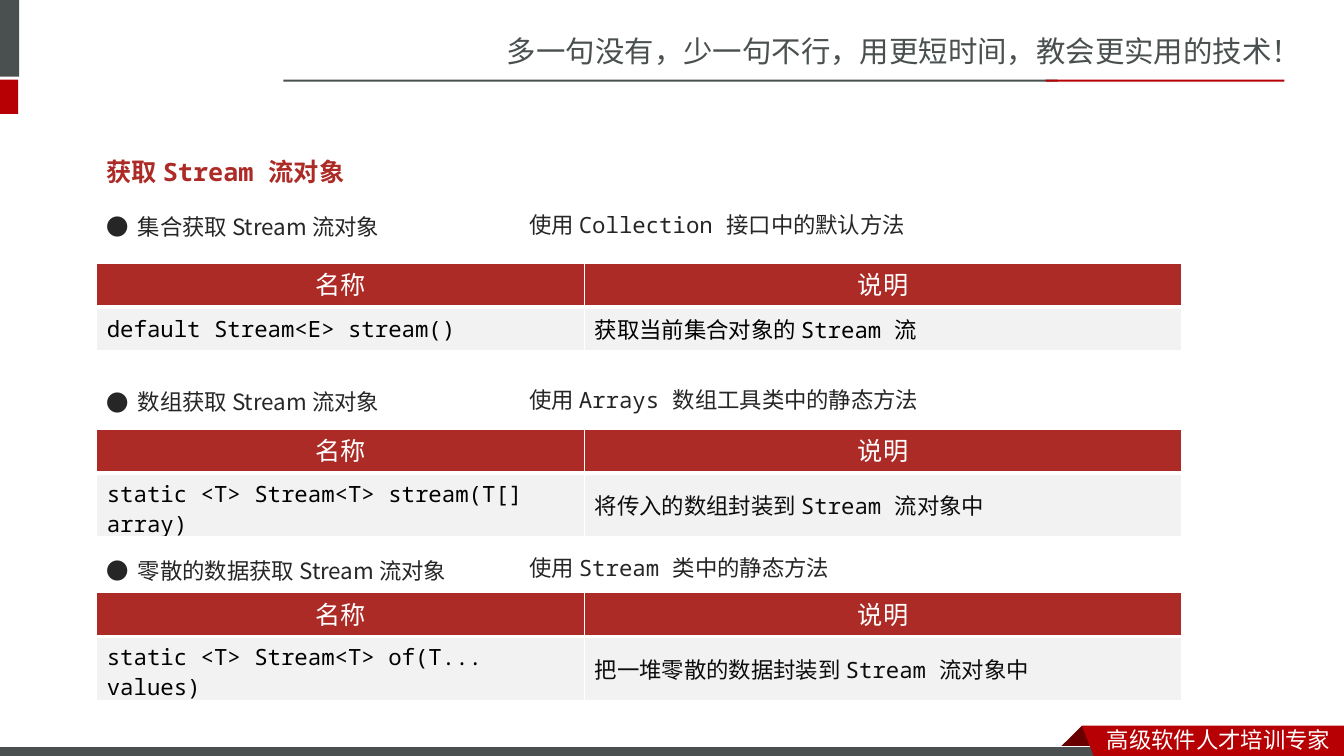
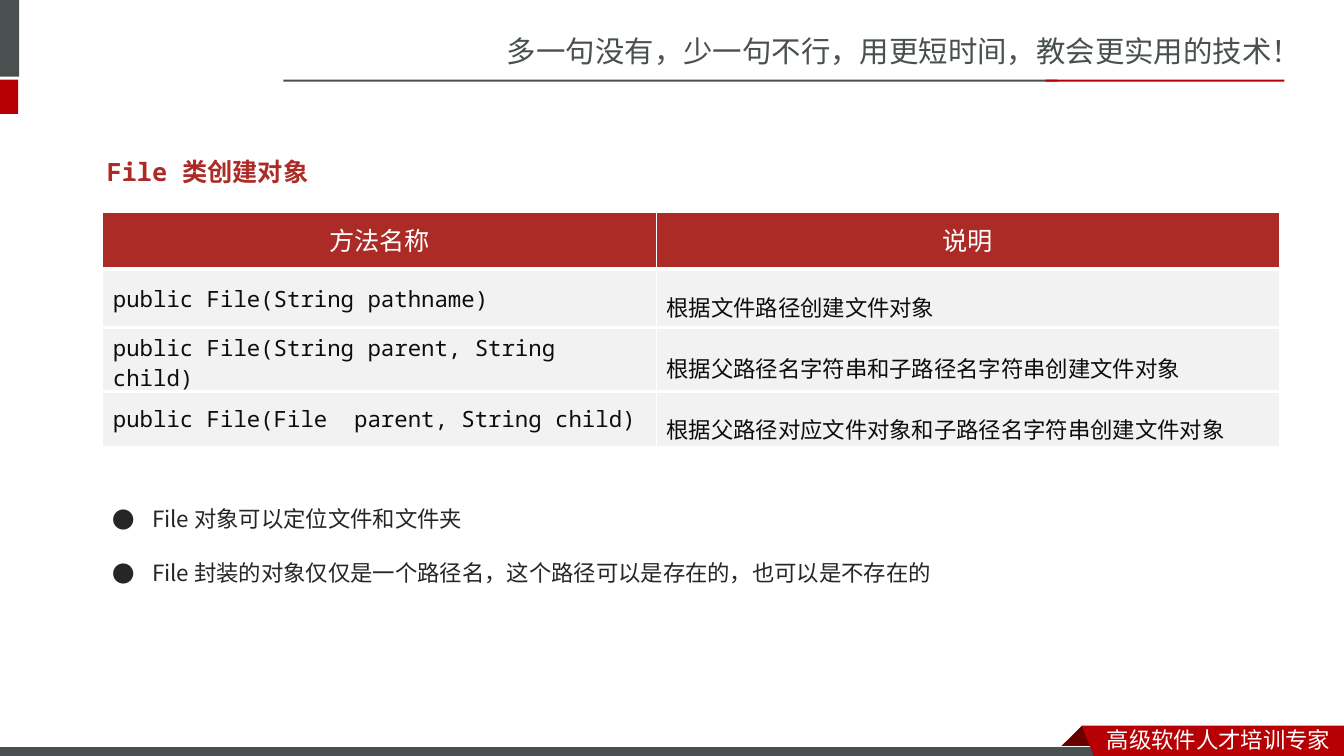
from dataclasses import dataclass

from lxml import etree
from pptx import Presentation
from pptx.dml.color import RGBColor
from pptx.enum import shapes, text
from pptx.oxml import ns
from pptx.util import Inches, Pt


@dataclass(frozen=True)
class Theme:
    slate: str = "49504F"
    red: str = "B60004"
    fold: str = "680000"
    brick: str = "AD2B26"
    row: str = "F2F2F2"
    body: str = "262626"
    ink: str = "0D0D0D"
    black: str = "000000"
    white: str = "FFFFFF"
    sans: str = "Noto Sans CJK SC"
    sans_body: str = "Noto Sans CJK JP"
    mono: str = "Noto Sans Mono"
    head: str = "Calibri"
    slogan_size: int = 21
    title_size: int = 18
    body_size: int = 16


T = Theme()

SLOGAN = "多一句没有，少一句不行，用更短时间，教会更实用的技术！"
TAGLINE = "高级软件人才培训专家"

BANDS = [  # left, top, width, height, fill, outline
    (-0.06, 0, 0.25, 0.76, T.slate, None),
    (-0.06, 0.79, 0.24, 0.34, T.red, None),
    (2.81, 0.79, 7.68, 0.02, T.slate, None),
    (10.37, 0.79, 2.37, 0.02, T.red, None),
    (-0.01, 7.41, 11, 0.12, T.slate, T.white),
]
RIBBON_FOLD = [(10.73, 7.2), (10.95, 7.42), (10.94, 7.43), (10.52, 7.43), (10.51, 7.42)]
RIBBON = [(10.73, 7.2), (13.33, 7.2), (13.33, 7.54), (10.86, 7.53)]

STREAM_TITLE = "获取 Stream 流对象"
STREAM_SOURCES = [
    dict(top=1.93, table_top=2.61, source="集合获取 Stream 流对象",
         means="使用 Collection 接口中的默认方法",
         method="default Stream<E> stream()",
         effect="获取当前集合对象的 Stream 流", effect_color=T.black),
    dict(top=3.67, table_top=4.26, source="数组获取 Stream 流对象",
         means="使用 Arrays 数组工具类中的静态方法",
         method="static <T> Stream<T> stream(T[] array)",
         effect="将传入的数组封装到 Stream 流对象中", effect_color=T.ink),
    dict(top=5.34, table_top=5.88, source="零散的数据获取 Stream 流对象",
         means="使用 Stream 类中的静态方法",
         method="static <T> Stream<T> of(T... values)",
         effect="把一堆零散的数据封装到 Stream 流对象中", effect_color=T.ink),
]

FILE_TITLE = "File 类创建对象"
FILE_CONSTRUCTORS = [
    ("方法名称", "说明"),
    ("public File(String pathname)", "根据文件路径创建文件对象"),
    ("public File(String parent, String child)", "根据父路径名字符串和子路径名字符串创建文件对象"),
    ("public File(File  parent, String child)", "根据父路径对应文件对象和子路径名字符串创建文件对象"),
]
FILE_NOTES = [
    "File 对象可以定位文件和文件夹",
    "File 封装的对象仅仅是一个路径名，这个路径可以是存在的，也可以是不存在的",
]


def rgb(color):
    return RGBColor.from_string(color)


def write(paragraph, words, font, size, color, bold=False, spacing=None):
    if spacing:
        paragraph.line_spacing = spacing
    run = paragraph.add_run()
    run.text = words
    run.font.name, run.font.size, run.font.bold = font, Pt(size), bold
    run.font.color.rgb = rgb(color)
    east_asian = font if font.startswith("Noto Sans CJK") else T.sans
    latin = run.font._element.find(ns.qn("a:latin"))
    latin.addnext(etree.Element(ns.qn("a:ea"), typeface=east_asian))


def add_bullet(paragraph, indent):
    properties = paragraph._p.get_or_add_pPr()
    properties.set("marL", str(Inches(indent)))
    properties.set("indent", str(-Inches(indent)))
    etree.SubElement(properties, ns.qn("a:buFont"), typeface=T.sans_body)
    etree.SubElement(properties, ns.qn("a:buChar"), char="●")


def add_text(slide, box, lines, font, size, color, bold=False, spacing=None, indent=None):
    frame = slide.shapes.add_textbox(*map(Inches, box)).text_frame
    frame.word_wrap = True
    frame.auto_size = text.MSO_AUTO_SIZE.SHAPE_TO_FIT_TEXT
    for index, line in enumerate(lines):
        paragraph = frame.add_paragraph() if index else frame.paragraphs[0]
        if indent:
            add_bullet(paragraph, indent)
        write(paragraph, line, font, size, color, bold, spacing)


def paint(shape, fill, outline=None):
    shape.shadow.inherit = False
    shape.fill.solid()
    shape.fill.fore_color.rgb = rgb(fill)
    if outline:
        shape.line.color.rgb = rgb(outline)
        shape.line.width = Pt(0.75)
    else:
        shape.line.fill.background()


def add_outline(slide, points, fill):
    start, *rest = [(Inches(x), Inches(y)) for x, y in points]
    builder = slide.shapes.build_freeform(*start)
    builder.add_line_segments(rest, close=True)
    paint(builder.convert_to_shape(), fill)


def add_borders(cell, top, bottom):
    properties = cell._tc.get_or_add_tcPr()
    for side, width in (("L", 1), ("R", 1), ("T", top), ("B", bottom)):
        line = etree.SubElement(properties, ns.qn(f"a:ln{side}"), w=str(Pt(width)))
        fill = etree.SubElement(line, ns.qn("a:solidFill"))
        etree.SubElement(fill, ns.qn("a:srgbClr"), val=T.white)


def add_method_table(slide, left, top, widths, heights, rows, styles):
    """Styles hold font, colour and line spacing of each body column."""
    box = map(Inches, (left, top, sum(widths), sum(heights)))
    table = slide.shapes.add_table(len(rows), len(widths), *box).table
    table.first_row = table.horz_banding = False
    for column, width in zip(table.columns, widths):
        column.width = Inches(width)
    for row, height in zip(table.rows, heights):
        row.height = Inches(height)
    for r, row in enumerate(rows):
        for c, words in enumerate(row):
            cell = table.cell(r, c)
            add_borders(cell, 3 if r else 1, 1 if r == len(rows) - 1 else 3)
            cell.vertical_anchor = text.MSO_ANCHOR.MIDDLE
            cell.fill.solid()
            cell.fill.fore_color.rgb = rgb(T.row if r else T.brick)
            paragraph = cell.text_frame.paragraphs[0]
            if r:
                font, color, spacing = styles[c]
                write(paragraph, words, font, T.body_size, color, spacing=spacing)
            else:
                paragraph.alignment = text.PP_ALIGN.CENTER
                write(paragraph, words, T.head, T.title_size, T.white, spacing=Pt(24))


def add_lesson_slide(deck, title):
    slide = deck.slides.add_slide(deck.slide_layouts[6])
    add_text(slide, (4.93, 0.28, 8.41, 0.47), [SLOGAN], T.sans, T.slogan_size, T.slate)
    add_outline(slide, RIBBON_FOLD, T.fold)
    for *box, fill, outline in BANDS:
        band = slide.shapes.add_shape(shapes.MSO_SHAPE.RECTANGLE, *map(Inches, box))
        paint(band, fill, outline)
    add_outline(slide, RIBBON, T.red)
    add_text(slide, (10.88, 7.15, 2.45, 0.37), [TAGLINE], T.sans, T.body_size, T.white)
    add_text(slide, (0.96, 1.2, 5.12, 0.63), [title], T.mono, T.title_size, T.brick,
             bold=True, spacing=2.0)
    return slide


def add_stream_slide(deck):
    slide = add_lesson_slide(deck, STREAM_TITLE)
    for item in STREAM_SOURCES:
        add_text(slide, (0.96, item["top"], 7.56, 0.47), [item["source"]], T.sans_body,
                 T.body_size, T.body, spacing=1.5, indent=0.31)
        add_text(slide, (5.15, item["top"] - 0.02, 4.92, 0.47), [item["means"]], T.mono,
                 T.body_size, T.body, spacing=1.5)
        add_method_table(slide, 0.96, item["table_top"], (4.84, 5.92), (0.41, 0.43),
                         [("名称", "说明"), (item["method"], item["effect"])],
                         [(T.mono, T.black, None), (T.mono, item["effect_color"], None)])


def add_file_slide(deck):
    slide = add_lesson_slide(deck, FILE_TITLE)
    add_method_table(slide, 1.02, 2.11, (5.49, 6.18), (0.56, 0.58, 0.51, 0.55),
                     FILE_CONSTRUCTORS,
                     [(T.mono, T.ink, None), (T.sans_body, T.ink, 1.5)])
    add_text(slide, (1.02, 4.7, 11.06, 1.11), FILE_NOTES, T.sans_body, T.body_size, T.body,
             spacing=2.0, indent=0.39)


def main():
    deck = Presentation()
    deck.slide_width, deck.slide_height = Inches(13.33), Inches(7.5)
    add_stream_slide(deck)
    add_file_slide(deck)
    deck.save("out.pptx")


if __name__ == "__main__":
    main()
